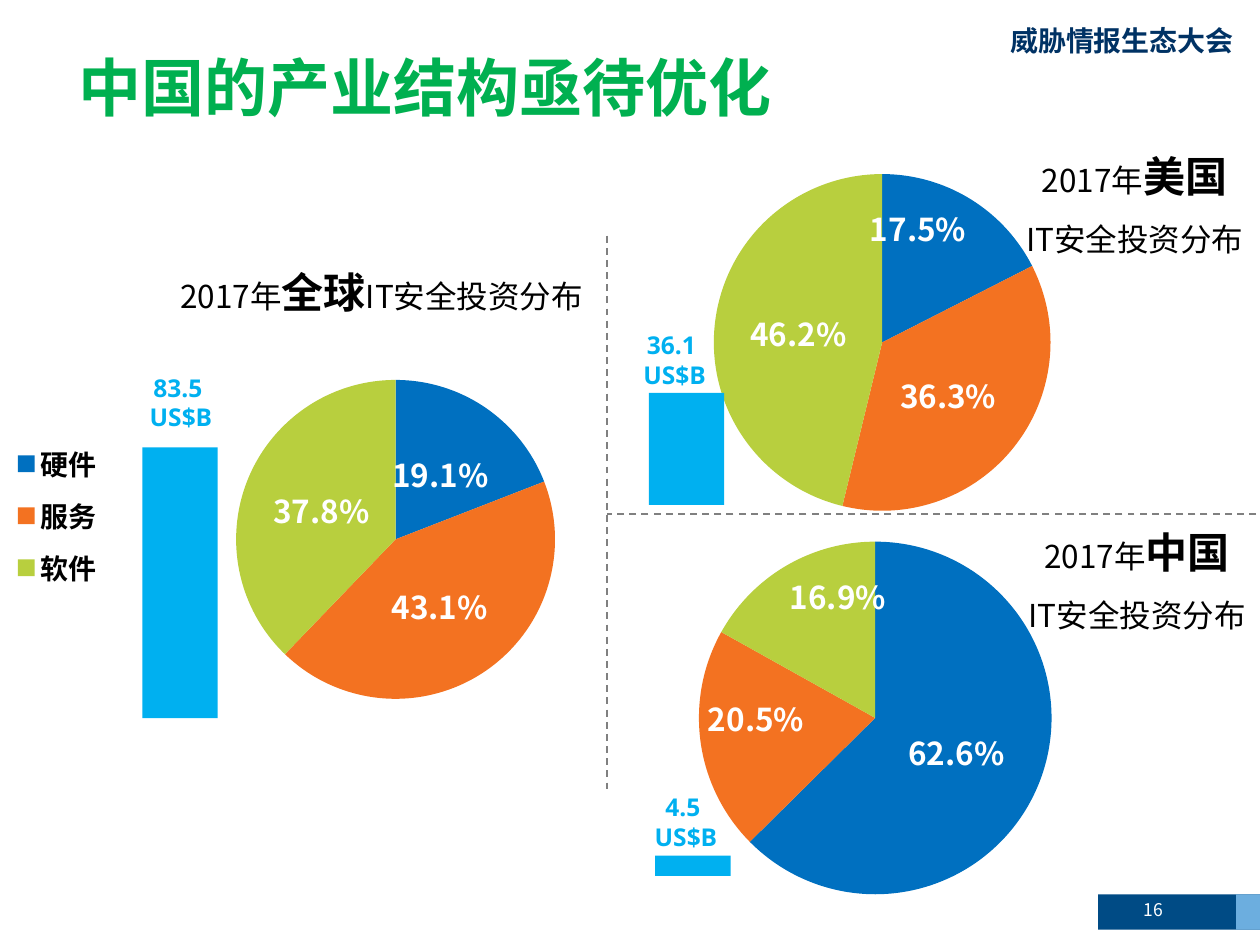
from lxml import etree
from pptx import Presentation
from pptx import util as u
from pptx.chart import data
from pptx.dml.color import RGBColor
from pptx.enum import chart as ch, dml, shapes, text
from pptx.oxml import ns

NAVY = RGBColor(0x00, 0x4B, 0x85)
PALE = RGBColor(0x6C, 0xAE, 0xDF)
INK = RGBColor(0x00, 0x32, 0x64)
GREEN = RGBColor(0x00, 0xB0, 0x50)
SKY = RGBColor(0x00, 0xB0, 0xF0)
GRAY = RGBColor(0x80, 0x80, 0x80)
BLACK = RGBColor(0x00, 0x00, 0x00)
WHITE = RGBColor(0xFF, 0xFF, 0xFF)
SLICES = (RGBColor(0x00, 0x70, 0xC0), RGBColor(0xF3, 0x72, 0x21),
          RGBColor(0xB8, 0xCF, 0x3E))
HAN = "Noto Sans CJK SC"
LATIN = "Open Sans"
ALIGN = text.PP_ALIGN
SPOT = ch.XL_LABEL_POSITION


def cm(box):
    return [u.Cm(v) for v in box]


def put(obj, **vals):
    for key, val in vals.items():
        setattr(obj, key, val)


def style(font, size, color, bold=False, name=HAN):
    put(font, size=u.Pt(size), bold=bold, name=name)
    font.color.rgb = color


def write(slide, box, paras, align, space=None, frame=None):
    area = slide.shapes.add_textbox(*cm(box)).text_frame
    put(area, **{"word_wrap": True, **(frame or {})})
    for i, runs in enumerate(paras):
        para = area.add_paragraph() if i else area.paragraphs[0]
        put(para, alignment=align, line_spacing=space)
        for words, *look in runs:
            run = para.add_run()
            run.text = words
            style(run.font, *look)
            east = etree.SubElement(run.font._element, ns.qn("a:ea"))
            east.set("typeface", run.font.name)


def block(slide, box, color):
    rect = slide.shapes.add_shape(shapes.MSO_SHAPE.RECTANGLE, *cm(box))
    rect.shadow.inherit = False
    rect.fill.solid()
    rect.fill.fore_color.rgb = color
    rect.line.fill.background()


def rule(slide, ends):
    line = slide.shapes.add_connector(shapes.MSO_CONNECTOR.STRAIGHT, *cm(ends))
    put(line.line, width=u.Pt(1), dash_style=dml.MSO_LINE.DASH)
    line.line.color.rgb = GRAY
    etree.SubElement(line._element.spPr, ns.qn("a:effectLst"))


def layout(box, part, inner=False):
    left, top, wide, high = box
    vals = {"layoutTarget": "inner"} if inner else {}
    vals.update(xMode="edge", yMode="edge",
                x=(part[0] - left) / wide, y=(part[1] - top) / high,
                w=part[2] / wide, h=part[3] / high)
    root = etree.Element(ns.qn("c:layout"))
    manual = etree.SubElement(root, ns.qn("c:manualLayout"))
    for key, val in vals.items():
        etree.SubElement(manual, ns.qn("c:" + key)).set("val", str(val))
    return root


def pie(slide, box, disc, names, shares, outer=(), key=None):
    info = data.CategoryChartData(number_format="0.0%")
    info.categories = names
    info.add_series("Series 1", shares)
    chart = slide.shapes.add_chart(
        ch.XL_CHART_TYPE.PIE, *cm(box), info).chart
    space = chart._chartSpace
    back = etree.Element(ns.qn("c:spPr"))
    etree.SubElement(back, ns.qn("a:noFill"))
    space.find(ns.qn("c:chart")).addnext(back)
    style(chart.font, 16, BLACK)
    put(chart, has_title=False, has_legend=bool(key))
    area = space.find(".//" + ns.qn("c:plotArea"))
    for old in area.findall(ns.qn("c:layout")):
        area.remove(old)
    area.insert(0, layout(box, (*disc, disc[2]), True))
    if key:
        put(chart.legend, position=ch.XL_LEGEND_POSITION.LEFT,
            include_in_layout=False)
        style(chart.legend.font, 16, BLACK, True)
        legend = chart.legend._element
        for old in legend.findall(ns.qn("c:layout")):
            legend.remove(old)
        legend.find(ns.qn("c:legendPos")).addnext(layout(box, key))
    plot = chart.plots[0]
    put(plot, vary_by_categories=True, has_data_labels=True)
    put(plot.data_labels, show_value=True, show_percentage=False,
        number_format="0.0%", number_format_is_linked=False,
        position=SPOT.CENTER)
    style(plot.data_labels.font, 18, WHITE, True)
    series = plot.series[0]
    for i, color in enumerate(SLICES):
        point = series.points[i]
        point.format.fill.solid()
        point.format.fill.fore_color.rgb = color
        label = point.data_label
        style(label.font, 18, WHITE, True)
        label.position = SPOT.INSIDE_END if i in outer else SPOT.CENTER


def head(slide, box, place, split=True):
    first = [("2017年", 18, BLACK), (place, 24, BLACK, True)]
    rest = [("IT安全投资分布", 18, BLACK)]
    paras = [first, rest] if split else [first + rest]
    write(slide, box, paras, ALIGN.CENTER, 1.5)


def total(slide, spot, amount, bar):
    look = (14, SKY, True, LATIN)
    write(slide, (*spot, 7.8, 1.45),
          [[(amount + " ", *look)], [("US$B", *look)]], ALIGN.CENTER)
    block(slide, bar, SKY)


def main():
    deck = Presentation()
    put(deck, slide_width=u.Cm(25.4), slide_height=u.Cm(19.05))
    slide = deck.slides.add_slide(deck.slide_layouts[6])

    block(slide, (22.14, 18.03, 3.26, 0.71), NAVY)
    block(slide, (24.92, 18.03, 0.48, 0.71), PALE)
    write(slide, (19.81, 0.36, 5.31, 0.94),
          [[("威胁情报生态大会", 16, INK, True)]], ALIGN.RIGHT)
    edge = u.Cm(0.13)
    write(slide, (1.45, 0.84, 14.35, 1.8),
          [[("中国的产业结构亟待优化", 36, GREEN, True)]], ALIGN.LEFT,
          frame=dict(word_wrap=False, margin_left=edge, margin_right=edge,
                     margin_top=edge, margin_bottom=edge))
    write(slide, (22.38, 17.83, 1.32, 1.02), [[("16", 10, WHITE)]],
          ALIGN.RIGHT, frame=dict(vertical_anchor=text.MSO_ANCHOR.MIDDLE))

    head(slide, (3.1, 4.75, 9.19, 1.63), "全球", False)
    pie(slide, (0, 6.58, 13.08, 8.61), (4.76, 7.66, 6.43),
        ("硬件", "服务", "软件"), (0.191, 0.431, 0.378),
        key=(0.15, 8.7, 2, 3.4))
    digits = ("1", "2", "3")
    head(slide, (20.45, 9.98, 4.95, 2.82), "中国")
    pie(slide, (11.56, 9.78, 12.04, 8.61), (14.09, 10.92, 7.11),
        digits, (0.626, 0.205, 0.169), (1, 2))
    head(slide, (20.4, 2.41, 4.95, 2.82), "美国")
    pie(slide, (11.56, 2.39, 12.04, 8.61), (14.39, 3.51, 6.79),
        digits, (0.175, 0.363, 0.462), (0,))

    rule(slide, (12.24, 4.75, 12.24, 15.95))
    rule(slide, (25.32, 10.36, 12.24, 10.36))

    total(slide, (-0.25, 7.39), "83.5", (2.87, 9.02, 1.52, 5.46))
    total(slide, (9.7, 6.53), "36.1", (13.08, 7.92, 1.52, 2.26))
    total(slide, (9.93, 15.85), "4.5", (13.21, 17.25, 1.52, 0.41))
    deck.save("out.pptx")


if __name__ == "__main__":
    main()
